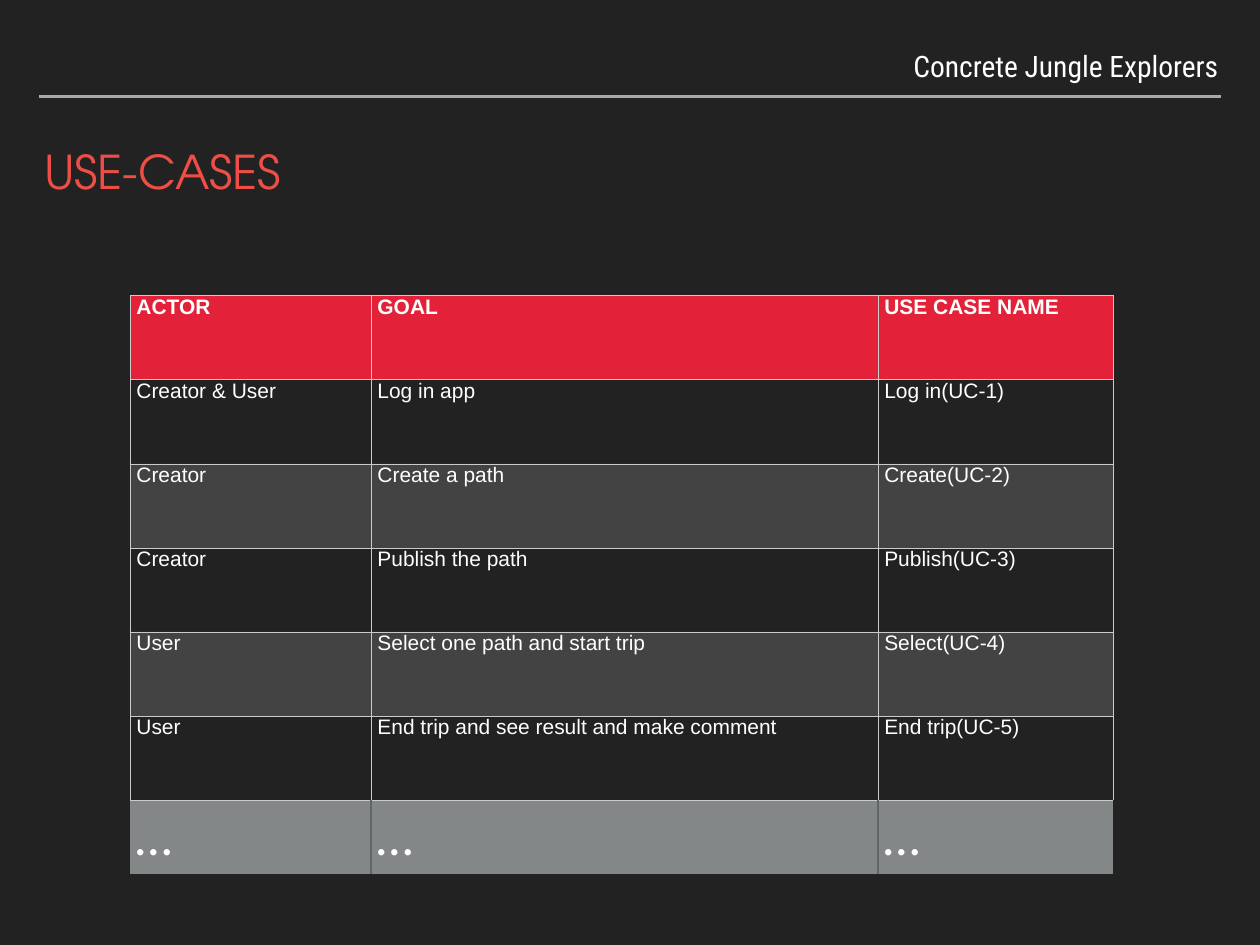
import dataclasses

import lxml.etree
import pptx
import pptx.dml.color
import pptx.enum.shapes
import pptx.enum.text
import pptx.oxml.ns
import pptx.util

Cm = pptx.util.Cm
Pt = pptx.util.Pt
Align = pptx.enum.text.PP_ALIGN
Anchor = pptx.enum.text.MSO_ANCHOR
qn = pptx.oxml.ns.qn


@dataclasses.dataclass(frozen=True)
class Theme:
    background: str = "222222"
    text: str = "FFFFFF"
    title: str = "EF4E47"
    rule: str = "A6AAA9"
    header: str = "E32239"
    band: str = "DCDEE0"
    band_opacity: int = 18
    footer: str = "838787"
    grid: str = "CBCBCB"
    divider: str = "5F6568"
    title_size: float = 37.8
    team_size: float = 24
    cell_size: float = 17
    ellipsis_size: float = 43
    title_font: str = "TeX Gyre Adventor"
    team_font: str = "Roboto Condensed"
    cell_font: str = "Arial"
    ellipsis_font: str = "Calibri"


THEME = Theme()

USE_CASES = [
    ("ACTOR", "GOAL", "USE CASE NAME"),
    ("Creator & User", "Log in app", "Log in(UC-1)"),
    ("Creator", "Create a path", "Create(UC-2)"),
    ("Creator", "Publish the path", "Publish(UC-3)"),
    ("User", "Select one path and start trip", "Select(UC-4)"),
    ("User", "End trip and see result and make comment", "End trip(UC-5)"),
    ("…", "…", "…"),
]
COLUMN_WIDTHS = (6.91, 14.53, 6.73)
ROW_HEIGHT = 2.41
FOOTER_HEIGHT = 1.8


def rgb(color):
    return pptx.dml.color.RGBColor.from_string(color)


def write(frame, wording, font, size, color, align=Align.LEFT, bold=False):
    frame.text = wording
    paragraph = frame.paragraphs[0]
    paragraph.alignment = align
    style = paragraph.runs[0].font
    style.name, style.size, style.bold = font, Pt(size), bold
    style.color.rgb = rgb(color)
    return paragraph


def set_margins(holder, horizontal, vertical):
    holder.margin_left = holder.margin_right = Cm(horizontal)
    holder.margin_top = holder.margin_bottom = Cm(vertical)


def add_label(slide, box, anchor, *lettering):
    frame = slide.shapes.add_textbox(*map(Cm, box)).text_frame
    frame.word_wrap = True
    frame.vertical_anchor = anchor
    set_margins(frame, 0.15, 0.15)
    return write(frame, *lettering)


def add_rule(slide, left, right, top):
    rule = slide.shapes.add_connector(
        pptx.enum.shapes.MSO_CONNECTOR.STRAIGHT, Cm(left), Cm(top), Cm(right), Cm(top))
    rule.line.color.rgb = rgb(THEME.rule)
    rule.line.width = Pt(2)
    lxml.etree.SubElement(rule._element.spPr, qn("a:effectLst"))


def set_borders(cell, borders):
    properties = cell._tc.get_or_add_tcPr()
    for position, side in enumerate("LRTB"):
        edge = lxml.etree.Element(qn(f"a:ln{side}"))
        if side in borders:
            color, width = borders[side]
            edge.set("w", str(Pt(width)))
            solid = lxml.etree.SubElement(edge, qn("a:solidFill"))
            lxml.etree.SubElement(solid, qn("a:srgbClr"), val=color)
        else:
            lxml.etree.SubElement(edge, qn("a:noFill"))
        properties.insert(position, edge)


def fill_cell(cell, color, opacity=100):
    if color is None:
        cell.fill.background()
        return
    cell.fill.solid()
    cell.fill.fore_color.rgb = rgb(color)
    if opacity < 100:
        tint = cell._tc.tcPr.find(".//" + qn("a:srgbClr"))
        lxml.etree.SubElement(tint, qn("a:alpha"), val=str(opacity * 1000))


def style_case_cell(cell, wording, row):
    set_margins(cell, 0.18, 0)
    write(cell.text_frame, wording, THEME.cell_font, THEME.cell_size, THEME.text,
          Align.JUSTIFY, row == 0)
    if row == 0:
        fill_cell(cell, THEME.header)
    elif row % 2 == 0:
        fill_cell(cell, THEME.band, THEME.band_opacity)
    else:
        fill_cell(cell, None)
    set_borders(cell, dict.fromkeys("LRTB", (THEME.grid, 0.5)))


def style_footer_cell(cell, wording, column, last_column):
    set_margins(cell, 0.15, 0.15)
    cell.vertical_anchor = Anchor.MIDDLE
    write(cell.text_frame, wording, THEME.ellipsis_font, THEME.ellipsis_size, THEME.text)
    fill_cell(cell, THEME.footer)
    borders = {"T": (THEME.grid, 0.5)}
    if column > 0:
        borders["L"] = (THEME.divider, 2)
    if column < last_column:
        borders["R"] = (THEME.divider, 2)
    set_borders(cell, borders)


def add_use_case_table(slide, left, top):
    footer_row = len(USE_CASES) - 1
    heights = [ROW_HEIGHT] * footer_row + [FOOTER_HEIGHT]
    table = slide.shapes.add_table(
        len(heights), len(COLUMN_WIDTHS), Cm(left), Cm(top),
        Cm(sum(COLUMN_WIDTHS)), Cm(sum(heights))).table
    for column, width in zip(table.columns, COLUMN_WIDTHS):
        column.width = Cm(width)
    for row, (height, wordings) in enumerate(zip(heights, USE_CASES)):
        table.rows[row].height = Cm(height)
        for column, wording in enumerate(wordings):
            cell = table.cell(row, column)
            if row == footer_row:
                style_footer_cell(cell, wording, column, len(wordings) - 1)
            else:
                style_case_cell(cell, wording, row)


def main():
    deck = pptx.Presentation()
    deck.slide_width, deck.slide_height = Cm(36.12), Cm(27.1)
    slide = deck.slides.add_slide(deck.slide_layouts[6])
    slide.background.fill.solid()
    slide.background.fill.fore_color.rgb = rgb(THEME.background)

    add_rule(slide, 1.12, 35, 2.77)
    title = add_label(slide, (1.12, 4.27, 33.86, 2.01), Anchor.TOP, "USE-CASES",
                      THEME.title_font, THEME.title_size, THEME.title)
    title.line_spacing = 0.8
    add_label(slide, (4.04, 1.22, 31.04, 1.32), Anchor.BOTTOM, "Concrete Jungle Explorers",
              THEME.team_font, THEME.team_size, THEME.text, Align.RIGHT)
    add_use_case_table(slide, 3.73, 8.48)

    deck.save("out.pptx")


if __name__ == "__main__":
    main()
